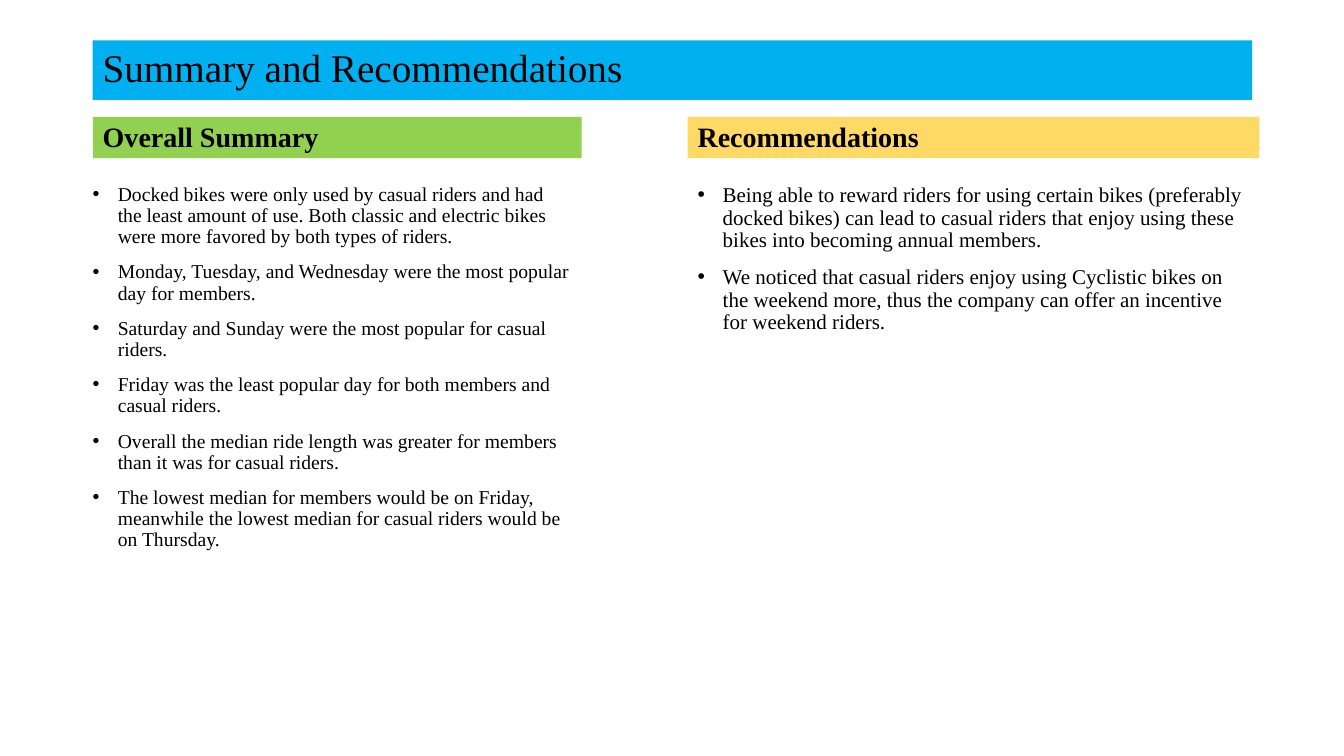
from lxml.etree import SubElement
from pptx import Presentation
from pptx.dml.color import RGBColor
from pptx.enum.shapes import MSO_SHAPE
from pptx.enum.text import MSO_ANCHOR, PP_ALIGN
from pptx.oxml.ns import qn
from pptx.util import Inches, Pt

FONT = "Times New Roman"
COLORS = {"text": "000000", "title": "00B0F0", "summary": "92D050", "advice": "FFD966"}
TITLE = "Summary and Recommendations"
COLUMNS = [
    {
        "heading": "Overall Summary", "color": "summary", "size": 14,
        "left": 0.92, "list_left": 0.82, "right": 5.77, "list_height": 4.99,
        "points": [
            "Docked bikes were only used by casual riders and had the least amount of use. "
            "Both classic and electric bikes were more favored by both types of riders.",
            "Monday, Tuesday, and Wednesday were the most popular day for members.",
            "Saturday and Sunday were the most popular for casual riders.",
            "Friday was the least popular day for both members and casual riders.",
            "Overall the median ride length was greater for members than it was for casual riders.",
            "The lowest median for members would be on Friday, meanwhile the lowest median "
            "for casual riders would be on Thursday.",
        ],
    },
    {
        "heading": "Recommendations", "color": "advice", "size": 15,
        "left": 6.82, "list_left": 6.82, "right": 12.49, "list_height": 3.5,
        "points": [
            "Being able to reward riders for using certain bikes (preferably docked bikes) can "
            "lead to casual riders that enjoy using these bikes into becoming annual members.",
            "We noticed that casual riders enjoy using Cyclistic bikes on the weekend more, "
            "thus the company can offer an incentive for weekend riders.",
        ],
    },
]
HEADING_TOP, HEADING_HEIGHT, LIST_TOP = 1.16, 0.41, 1.78


def write(sp, lines, size, anchor, bold=False, before=10, bullets=False):
    tf = sp.text_frame
    tf.word_wrap = True
    tf.vertical_anchor = anchor
    tf.text = "\n".join(lines)
    for p in tf.paragraphs:
        p.alignment = PP_ALIGN.LEFT
        p.line_spacing = 0.9
        p.space_before = Pt(before)
        for r in p.runs:
            r.font.name = FONT
            r.font.size = Pt(size)
            r.font.bold = bold
            r.font.color.rgb = RGBColor.from_string(COLORS["text"])
        if bullets:
            pPr = p._p.get_or_add_pPr()
            pPr.set("marL", str(Inches(0.25)))
            pPr.set("indent", str(Inches(-0.25)))
            SubElement(pPr, qn("a:buFont")).set("typeface", "Arial")
            SubElement(pPr, qn("a:buChar")).set("char", "•")


def add_banner(s, box, text, color, size, anchor, **style):
    sp = s.shapes.add_shape(MSO_SHAPE.RECTANGLE, *map(Inches, box))
    sp.shadow.inherit = False
    sp.fill.solid()
    sp.fill.fore_color.rgb = RGBColor.from_string(COLORS[color])
    sp.line.fill.background()
    write(sp, [text], size, anchor, **style)


def main():
    prs = Presentation()
    prs.slide_width, prs.slide_height = Inches(13.33), Inches(7.5)
    s = prs.slides.add_slide(prs.slide_layouts[6])
    add_banner(s, (0.92, 0.4, 11.5, 0.59), TITLE, "title", 28, MSO_ANCHOR.MIDDLE, before=0)
    for col in COLUMNS:
        box = (col["left"], HEADING_TOP, col["right"] - col["left"], HEADING_HEIGHT)
        add_banner(s, box, col["heading"], col["color"], 20, MSO_ANCHOR.BOTTOM, bold=True)
        box = (col["list_left"], LIST_TOP, col["right"] - col["list_left"], col["list_height"])
        sp = s.shapes.add_textbox(*map(Inches, box))
        write(sp, col["points"], col["size"], MSO_ANCHOR.TOP, bullets=True)
    prs.save("out.pptx")


if __name__ == "__main__":
    main()
